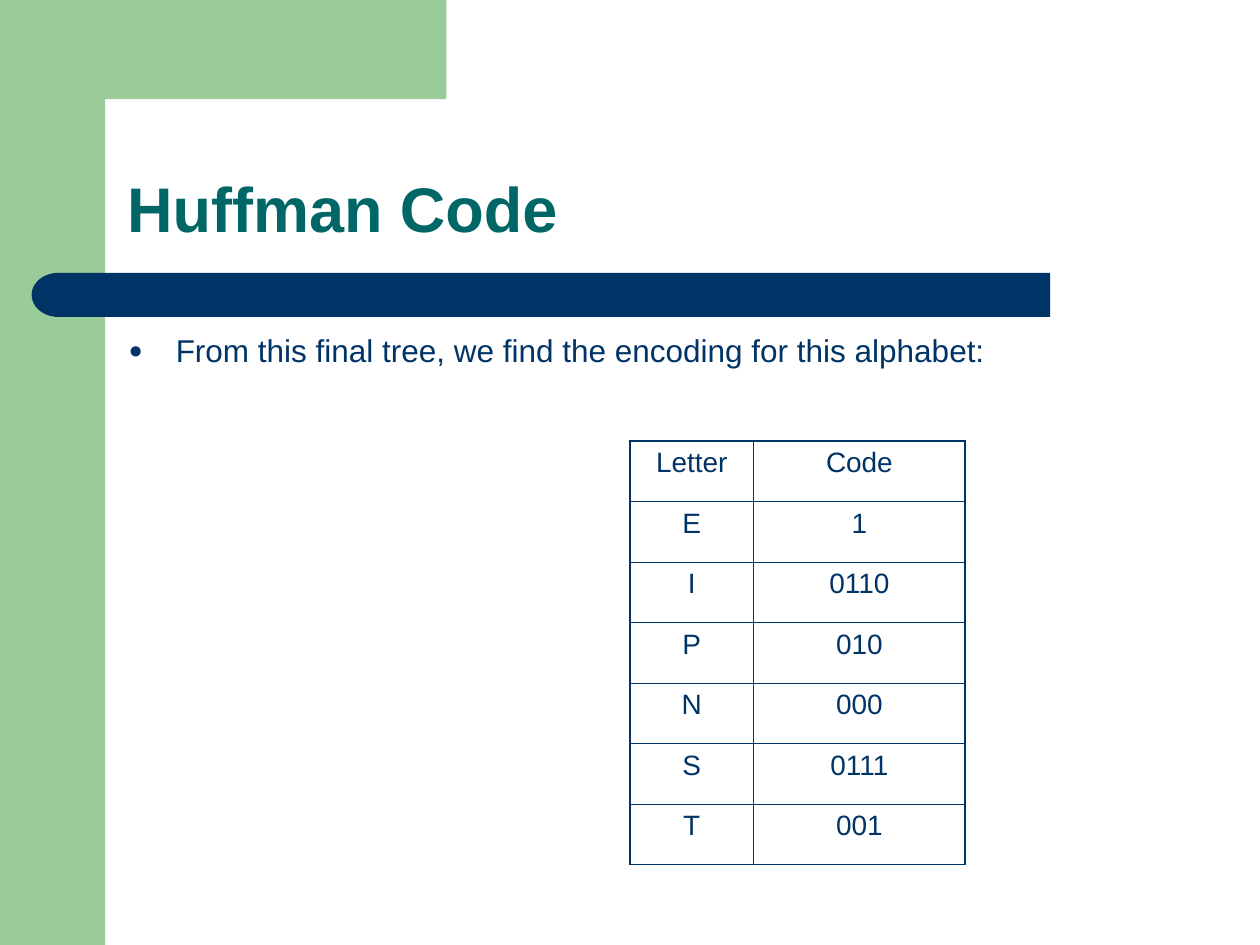
from dataclasses import dataclass
from math import cos, pi, sin

from lxml import etree
from pptx import Presentation
from pptx.dml.color import RGBColor
from pptx.enum.shapes import MSO_SHAPE
from pptx.enum.text import MSO_ANCHOR, MSO_AUTO_SIZE, PP_ALIGN
from pptx.oxml.ns import qn
from pptx.util import Cm, Pt

RECTANGLE = MSO_SHAPE.RECTANGLE
DELAY = MSO_SHAPE.FLOWCHART_DELAY
CENTER, LEFT = PP_ALIGN.CENTER, PP_ALIGN.LEFT
TOP, BOTTOM = MSO_ANCHOR.TOP, MSO_ANCHOR.BOTTOM
NO_FIT = MSO_AUTO_SIZE.NONE

FONT = "Arial"
GREEN, NAVY, TEAL = "99CC99", "003366", "006666"
OUTER_LINE, INNER_LINE = 1.08, 0.45


@dataclass(frozen=True)
class Box:
    """A place on the slide, in centimetres."""
    left: float
    top: float
    width: float
    height: float

    def lengths(self) -> tuple:
        return Cm(self.left), Cm(self.top), Cm(self.width), Cm(self.height)


@dataclass(frozen=True)
class Band:
    preset: int
    box: Box
    color: str
    flipped: bool = False


@dataclass(frozen=True)
class LetterCode:
    letter: str
    code: str


BANDS = [
    Band(RECTANGLE, Box(0, 0, 2.12, 19.05), GREEN),
    Band(RECTANGLE, Box(1.7, 5.5, 19.47, 0.89), NAVY),
    Band(DELAY, Box(0.64, 5.5, 1.08, 0.89), NAVY, flipped=True),
]

CODES = [
    LetterCode("Letter", "Code"),
    LetterCode("E", "1"),
    LetterCode("I", "0110"),
    LetterCode("P", "010"),
    LetterCode("N", "000"),
    LetterCode("S", "0111"),
    LetterCode("T", "001"),
]


def rgb(color: str) -> RGBColor:
    return RGBColor.from_string(color)


def paint(shape, color: str) -> None:
    shape.shadow.inherit = False
    shape.fill.solid()
    shape.fill.fore_color.rgb = rgb(color)
    shape.line.fill.background()


def draw_band(slide, band: Band) -> None:
    shape = slide.shapes.add_shape(band.preset, *band.box.lengths())
    paint(shape, band.color)
    if band.flipped:
        shape._element.spPr.xfrm.set("flipH", "1")


def draw_corner(slide) -> None:
    """Green top block whose inner corner is rounded off."""
    left, inner_left, right = 1.27, 2.12, 8.89
    inner_top, bottom = 2.12, 3.25
    radius_x, radius_y, steps = 0.8, 0.84, 12
    angles = [pi / 2 * step / steps for step in range(steps + 1)]
    curve = [(inner_left + radius_x * (1 - sin(angle)),
              inner_top + radius_y * (1 - cos(angle))) for angle in angles]
    outline = [(right, inner_top), *curve, (inner_left, bottom),
               (left, bottom), (left, 0)]
    builder = slide.shapes.build_freeform(right, 0, scale=Cm(1))
    builder.add_line_segments(outline, close=True)
    paint(builder.convert_to_shape(), GREEN)


def style_paragraph(paragraph, size: float, color: str, align, before: float = 0,
                    bold: bool = False) -> None:
    paragraph.alignment = align
    paragraph.space_before = Pt(before)
    font = paragraph.font
    font.name, font.size, font.bold = FONT, Pt(size), bold
    font.color.rgb = rgb(color)


def fill_placeholder(placeholder, box: Box, text: str, anchor):
    """Move the placeholder, set its text and return the paragraph."""
    (placeholder.left, placeholder.top,
     placeholder.width, placeholder.height) = box.lengths()
    frame = placeholder.text_frame
    frame.text = text
    frame.word_wrap = True
    frame.auto_size = NO_FIT
    frame.vertical_anchor = anchor
    return frame.paragraphs[0]


def add_bullet(paragraph, char: str, color: str, percent: int, indent: float) -> None:
    props = paragraph._p.get_or_add_pPr()
    props.set("marL", str(Cm(indent)))
    props.set("indent", str(-Cm(indent)))
    bullet_color = etree.SubElement(props, qn("a:buClr"))
    etree.SubElement(bullet_color, qn("a:srgbClr"), val=color)
    etree.SubElement(props, qn("a:buSzPct"), val=str(percent * 1000))
    etree.SubElement(props, qn("a:buFont"), typeface=FONT)
    etree.SubElement(props, qn("a:buChar"), char=char)


def set_borders(cell, outer_sides: dict) -> None:
    """Draw all four borders, heavier on the sides marked as outer."""
    props = cell._tc.get_or_add_tcPr()
    for position, (side, is_outer) in enumerate(outer_sides.items()):
        width = Pt(OUTER_LINE if is_outer else INNER_LINE)
        border = etree.Element(qn(f"a:ln{side}"), w=str(width))
        fill = etree.SubElement(border, qn("a:solidFill"))
        etree.SubElement(fill, qn("a:srgbClr"), val=NAVY)
        props.insert(position, border)


def draw_code_table(slide, codes: list[LetterCode]) -> None:
    widths, row_height = (2.49, 4.27), 1.22
    box = Box(12.7, 8.89, sum(widths), row_height * len(codes))
    table = slide.shapes.add_table(len(codes), len(widths), *box.lengths()).table
    table.first_row = table.horz_banding = False
    for column, width in zip(table.columns, widths):
        column.width = Cm(width)
    last_row, last_column = len(codes) - 1, len(widths) - 1
    for row, entry in enumerate(codes):
        table.rows[row].height = Cm(row_height)
        for column, text in enumerate((entry.letter, entry.code)):
            cell = table.cell(row, column)
            cell.text = text
            cell.fill.background()
            style_paragraph(cell.text_frame.paragraphs[0], 16, NAVY, CENTER, before=4)
            set_borders(cell, {"L": column == 0, "R": column == last_column,
                               "T": row == 0, "B": row == last_row})


def main() -> None:
    presentation = Presentation()
    presentation.slide_width, presentation.slide_height = Cm(25.4), Cm(19.05)
    slide = presentation.slides.add_slide(presentation.slide_layouts[1])

    # Frame of green and navy bands
    for band in BANDS:
        draw_band(slide, band)
    draw_corner(slide)

    # Title and bulleted statement
    heading = fill_placeholder(slide.shapes.title, Box(2.31, 2.31, 21.62, 2.77),
                               "Huffman Code", BOTTOM)
    style_paragraph(heading, 36, TEAL, LEFT, bold=True)
    heading.line_spacing = 0.9
    statement = fill_placeholder(
        slide.placeholders[1], Box(2.34, 6.55, 21.36, 10.34),
        "From this final tree, we find the encoding for this alphabet:", TOP)
    style_paragraph(statement, 18, NAVY, LEFT, before=4.5)
    add_bullet(statement, "●", NAVY, 75, 0.95)

    # Letters with their codes
    draw_code_table(slide, CODES)

    presentation.save("out.pptx")


if __name__ == "__main__":
    main()
